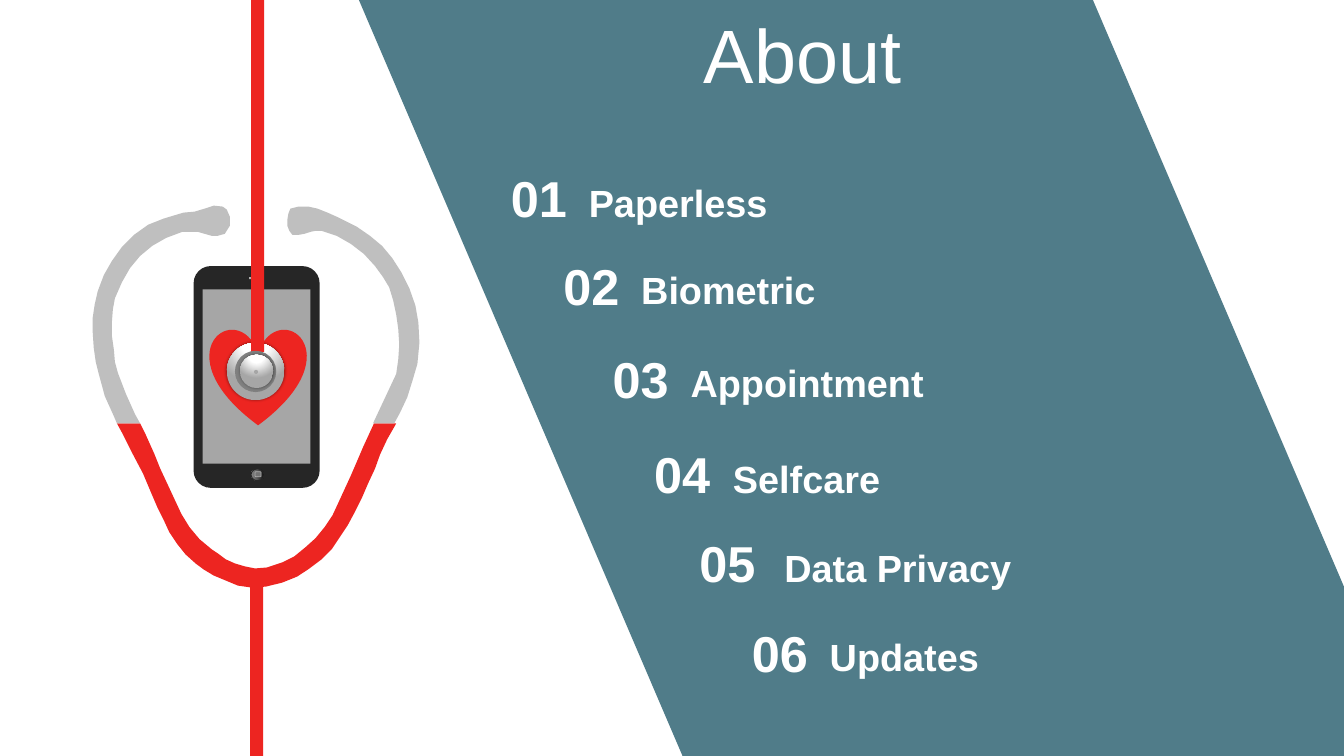
from lxml import etree
from pptx import Presentation
from pptx.dml.color import RGBColor
from pptx.enum.shapes import MSO_SHAPE
from pptx.enum.text import MSO_ANCHOR, PP_ALIGN
from pptx.oxml import parse_xml
from pptx.oxml.ns import nsdecls, qn
from pptx.util import Inches, Pt

RECT, ROUND = MSO_SHAPE.RECTANGLE, MSO_SHAPE.ROUNDED_RECTANGLE
OVAL, HEART = MSO_SHAPE.OVAL, MSO_SHAPE.HEART
LEFT, CENTER, MIDDLE = PP_ALIGN.LEFT, PP_ALIGN.CENTER, MSO_ANCHOR.MIDDLE
COLORS = {
    "panel": "507C89", "red": "ED2521", "tube": "BFBFBF", "case": "262626",
    "screen": "A6A6A6", "speaker": "B0B0B0", "key": "737373",
    "ring": "808080", "white": "FFFFFF",
}
METAL = [(0, "FFFFFF"), (35, "FFFFFF"), (100, "A6A6A6")]
METAL_LIGHT = ('<a:path path="circle"><a:fillToRect l="50000" t="-80000" '
               'r="50000" b="180000"/></a:path>')
BUTTON = [(0, "0F0F0F"), (56, "595959"), (91, "808080"), (100, "BFBFBF")]
BUTTON_LIGHT = '<a:lin ang="10800000" scaled="0"/>'

deck = Presentation()
deck.slide_width, deck.slide_height = Inches(13.33), Inches(7.5)
page = deck.slides.add_slide(deck.slide_layouts[5])


def paint(shape, color):
    """Give a shape a plain fill with no outline or shadow."""
    shape.fill.solid()
    shape.fill.fore_color.rgb = RGBColor.from_string(COLORS[color])
    shape.line.fill.background()
    shape.shadow.inherit = False


def write(box, text, size, bold=False, align=LEFT):
    box.text_frame.word_wrap = True
    para = box.text_frame.paragraphs[0]
    para.text = text
    para.alignment = align
    font = para.runs[0].font
    font.name, font.size, font.bold = "Arial", Pt(size), bold
    font.color.rgb = RGBColor.from_string(COLORS["white"])


# Outlines, in hundredths of an inch
panel = [(356, 0), (1084, 0), (1333, 582), (1333, 750), (677, 750)]
lower_tube = [
    (116, 420), (139, 420), (144, 430), (153, 450), (159, 465), (166, 480),
    (173, 495), (180, 510), (188, 523), (198, 535), (210, 545), (216, 549),
    (224, 555), (233, 559), (243, 562), (253, 564), (265, 563), (280, 558),
    (292, 552), (303, 543), (313, 534), (322, 523), (330, 511), (336, 498),
    (342, 485), (348, 472), (354, 458), (360, 444), (371, 420), (393, 420),
    (392, 422), (384, 436), (377, 451), (372, 465), (365, 480), (359, 494),
    (352, 508), (345, 521), (337, 533), (329, 545), (319, 555), (307, 564),
    (295, 572), (280, 578), (264, 582), (250, 583), (236, 581), (224, 576),
    (212, 571), (202, 565), (194, 559), (184, 550), (176, 540), (168, 528),
    (162, 515), (156, 503), (150, 489), (142, 470), (132, 451), (122, 431),
]
right_tube = [
    (296, 205), (306, 205), (315, 207), (325, 211), (334, 215), (342, 219),
    (354, 225), (367, 234), (379, 244), (389, 256), (398, 270), (406, 286),
    (412, 303), (415, 320), (416, 340), (414, 361), (409, 378), (404, 394),
    (397, 409), (391, 420), (370, 420), (393, 371), (395, 357), (396, 342),
    (395, 326), (393, 312), (390, 298), (386, 285), (380, 275), (372, 264),
    (361, 252), (348, 242), (334, 234), (319, 229), (313, 229), (308, 230),
    (302, 232), (296, 233), (290, 233), (287, 229), (285, 224), (285, 218),
    (286, 212), (288, 207),
]
left_tube = [
    (212, 204), (221, 205), (225, 208), (228, 215), (228, 224), (223, 232),
    (216, 234), (210, 234), (203, 232), (196, 230), (189, 230), (181, 230),
    (165, 236), (151, 244), (139, 254), (129, 266), (121, 280), (114, 296),
    (112, 307), (111, 320), (111, 333), (113, 347), (114, 359), (117, 370),
    (125, 391), (134, 411), (139, 420), (116, 420), (113, 413), (104, 393),
    (98, 371), (95, 359), (93, 345), (92, 330), (92, 315), (94, 302),
    (97, 289), (103, 273), (111, 259), (121, 245), (133, 233), (147, 223),
    (162, 217), (172, 214), (182, 211), (193, 210), (203, 207),
]
for points, color in [(panel, "panel"), (lower_tube, "red"),
                      (right_tube, "tube"), (left_tube, "tube")]:
    outline = page.shapes.build_freeform(*points[0], scale=Inches(0.01))
    outline.add_line_segments(points[1:], close=True)
    paint(outline.convert_to_shape(), color)

# Phone, heart, cord and stethoscope head, from back to front
parts = {}
for name, kind, color, place in [
    ("case", ROUND, "case", (1.92, 2.64, 1.25, 2.2)),
    ("speaker", RECT, "speaker", (2.47, 2.75, 0.03, 0.02)),
    ("button", OVAL, "case", (2.49, 4.65, 0.13, 0.12)),
    ("key", ROUND, "key", (2.53, 4.68, 0.06, 0.05)),
    ("screen", RECT, "screen", (2.01, 2.87, 1.07, 1.73)),
    ("heart", HEART, "red", (2.08, 3.26, 0.96, 0.96)),
    ("lower cord", RECT, "red", (2.48, 5.7, 0.13, 1.8)),
    ("head", OVAL, "screen", (2.25, 3.4, 0.57, 0.57)),
    ("upper cord", RECT, "red", (2.49, 0, 0.13, 3.49)),
    ("ring", OVAL, "ring", (2.33, 3.48, 0.41, 0.41)),
    ("cap", OVAL, "screen", (2.38, 3.52, 0.33, 0.33)),
    ("dot", OVAL, "screen", (2.52, 3.67, 0.04, 0.04)),
]:
    parts[name] = page.shapes.add_shape(kind, *map(Inches, place))
    paint(parts[name], color)
parts["case"].adjustments[0] = 0.136
for name, color, width in [("key", "speaker", 0.5), ("button", "case", 0)]:
    parts[name].line.color.rgb = RGBColor.from_string(COLORS[color])
    parts[name].line.width = Pt(width)

for name, stops, light in [("button", BUTTON, BUTTON_LIGHT),
                           ("head", METAL, METAL_LIGHT),
                           ("cap", METAL, METAL_LIGHT)]:
    properties = parts[name].element.spPr
    stop_list = "".join(
        f'<a:gs pos="{share * 1000}"><a:srgbClr val="{color}"/></a:gs>'
        for share, color in stops)
    gradient = parse_xml(f'<a:gradFill {nsdecls("a")} rotWithShape="1">'
                         f'<a:gsLst>{stop_list}</a:gsLst>{light}</a:gradFill>')
    properties.replace(properties.find(qn("a:solidFill")), gradient)

for name in ("head", "cap"):
    effects = parts[name].element.spPr.find(qn("a:effectLst"))
    shadow = etree.SubElement(effects, qn("a:outerShdw"),
                              blurRad=str(Pt(2)), dist="0", dir="0")
    shade = etree.SubElement(shadow, qn("a:srgbClr"), val="000000")
    etree.SubElement(shade, qn("a:alpha"), val="40000")

# Title, brought in front of the panel
title = page.shapes.title
title.left, title.top, title.width, title.height = map(
    Inches, (6.88, 0.02, 6.4, 1.01))
title.text_frame.vertical_anchor = MIDDLE
write(title, "About", 54)
title.element.getparent().append(title.element)

# Agenda: left and top of each number, then the gap to its label
agenda = [
    ("Paperless", 4.82, 1.61, 0.9), ("Biometric", 5.34, 2.48, 0.9),
    ("Appointment", 5.83, 3.4, 0.9), ("Selfcare", 6.24, 4.35, 0.91),
    ("Data Privacy", 6.69, 5.23, 0.97), ("Updates", 7.21, 6.12, 0.9),
]
for number, (label, left, top, gap) in enumerate(agenda, start=1):
    for text, size, align, place in [
        (label, 27, LEFT, (left + gap, top + 0.12, 4.93, 0.56)),
        (f"{number:02}", 36, CENTER, (left, top, 1.05, 0.71)),
    ]:
        box = page.shapes.add_textbox(*map(Inches, place))
        box.text_frame.margin_left = box.text_frame.margin_right = Inches(0.12)
        write(box, text, size, True, align)

deck.save("out.pptx")
